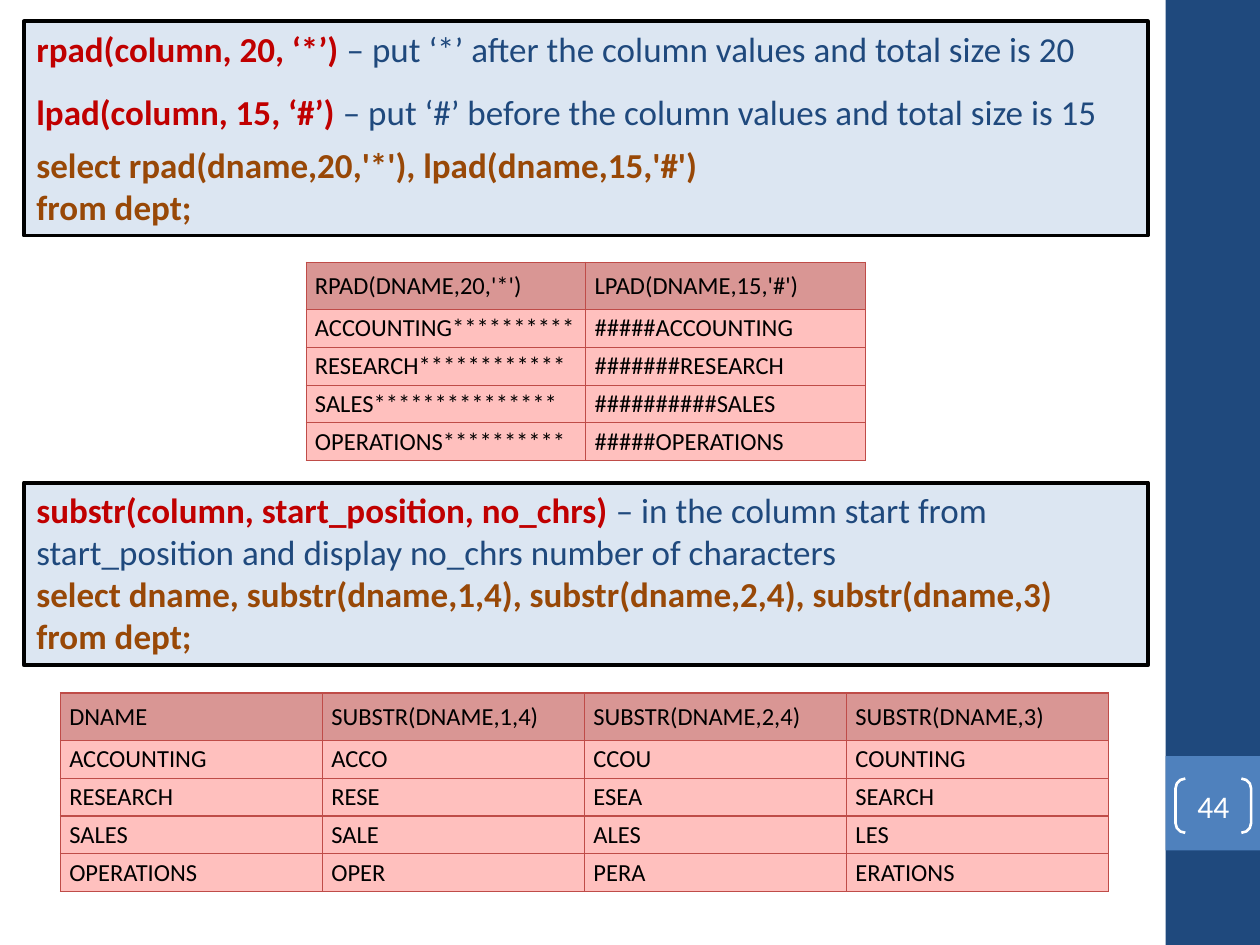
from lxml import etree
from pptx import Presentation
from pptx.dml.color import RGBColor
from pptx.enum.shapes import MSO_SHAPE
from pptx.enum.text import MSO_ANCHOR, PP_ALIGN
from pptx.oxml.ns import qn
from pptx.util import Inches, Pt

RECTANGLE, BRACKETS = MSO_SHAPE.RECTANGLE, MSO_SHAPE.DOUBLE_BRACKET
TOP, MIDDLE, BOTTOM = MSO_ANCHOR.TOP, MSO_ANCHOR.MIDDLE, MSO_ANCHOR.BOTTOM
LEFT, CENTER = PP_ALIGN.LEFT, PP_ALIGN.CENTER

FONT = "Calibri"
NAVY, BLUE, PALE_BLUE = "1F497D", "4F81BD", "DCE6F2"
WHITE, BLACK, RED, BROWN = "FFFFFF", "000000", "C00000", "984807"
HEADER_FILL, BODY_FILL, GRID = "D99694", "FFC0BE", "BF4C48"

# Content: each paragraph is (space around, [(text, colour, bold), ...])
PAD_NOTES = [
    (6, [("rpad(column, 20, ‘*’) ", RED, True),
         ("– put ‘*’ after the column values and total size is 20", NAVY, False)]),
    (6, [("lpad(column, 15, ‘#’) ", RED, True),
         ("– put ‘#’ before the column values and total size is 15", NAVY, False)]),
    (0, [("select rpad(dname,20,'*'), lpad(dname,15,'#')", BROWN, True)]),
    (0, [("from dept;", BROWN, True)]),
]
SUBSTR_NOTES = [
    (0, [("substr(column, start_position, no_chrs) ", RED, True),
         ("– in the column start from start_position and display no_chrs "
          "number of characters", NAVY, False)]),
    (0, [("select dname, substr(dname,1,4), substr(dname,2,4), substr(dname,3)",
          BROWN, True)]),
    (0, [("from dept;", BROWN, True)]),
]
PAD_ROWS = [
    ("RPAD(DNAME,20,'*')", "LPAD(DNAME,15,'#')"),
    ("ACCOUNTING**********", "#####ACCOUNTING"),
    ("RESEARCH************", "#######RESEARCH"),
    ("SALES***************", "##########SALES"),
    ("OPERATIONS**********", "#####OPERATIONS"),
]
SUBSTR_ROWS = [
    ("DNAME", "SUBSTR(DNAME,1,4)", "SUBSTR(DNAME,2,4)", "SUBSTR(DNAME,3)"),
    ("ACCOUNTING", "ACCO", "CCOU", "COUNTING"),
    ("RESEARCH", "RESE", "ESEA", "SEARCH"),
    ("SALES", "SALE", "ALES", "LES"),
    ("OPERATIONS", "OPER", "PERA", "ERATIONS"),
]
HEADER_HEIGHT, ROW_HEIGHT = 0.37, 0.3


def color(value):
    return RGBColor.from_string(value)


def add_run(paragraph, text, size, text_color, bold=False):
    run = paragraph.add_run()
    run.text = text
    for name, value in {"name": FONT, "size": Pt(size), "bold": bold}.items():
        setattr(run.font, name, value)
    run.font.color.rgb = color(text_color)


def add_shape(slide, kind, box, fill=None, line=None, width=1):
    shape = slide.shapes.add_shape(kind, *map(Inches, box))
    shape.shadow.inherit = False
    if fill:
        shape.fill.solid()
        shape.fill.fore_color.rgb = color(fill)
    else:
        shape.fill.background()
    if line:
        shape.line.color.rgb = color(line)
        shape.line.width = Pt(width)
    else:
        shape.line.fill.background()
    return shape


def add_notes(slide, box, paragraphs):
    shape = add_shape(slide, RECTANGLE, box, PALE_BLUE, BLACK, 2.25)
    frame = shape.text_frame
    frame.word_wrap = True
    frame.vertical_anchor = TOP
    for index, (space, runs) in enumerate(paragraphs):
        paragraph = frame.add_paragraph() if index else frame.paragraphs[0]
        paragraph.alignment = LEFT
        paragraph.space_before = paragraph.space_after = Pt(space)
        for text, text_color, bold in runs:
            add_run(paragraph, text, 20, text_color, bold)


def add_borders(cell):
    properties = cell._tc.get_or_add_tcPr()
    for side in ("a:lnL", "a:lnR", "a:lnT", "a:lnB"):
        border = etree.SubElement(properties, qn(side), w=str(Pt(0.75)))
        fill = etree.SubElement(border, qn("a:solidFill"))
        etree.SubElement(fill, qn("a:srgbClr"), val=GRID)


def add_result_table(slide, left, top, column_width, rows):
    columns = len(rows[0])
    height = HEADER_HEIGHT + ROW_HEIGHT * (len(rows) - 1)
    box = (left, top, column_width * columns, height)
    table = slide.shapes.add_table(len(rows), columns, *map(Inches, box)).table
    for column in table.columns:
        column.width = Inches(column_width)
    for row_index, values in enumerate(rows):
        header = row_index == 0
        table.rows[row_index].height = Inches(HEADER_HEIGHT if header else ROW_HEIGHT)
        margin = Inches(0.07 if header else 0.03)
        cell_format = {
            "margin_left": Inches(0.07), "margin_right": Inches(0.07),
            "margin_top": margin, "margin_bottom": margin,
            "vertical_anchor": BOTTOM if header else MIDDLE,
        }
        for column_index, text in enumerate(values):
            cell = table.cell(row_index, column_index)
            for name, value in cell_format.items():
                setattr(cell, name, value)
            add_borders(cell)
            cell.fill.solid()
            cell.fill.fore_color.rgb = color(HEADER_FILL if header else BODY_FILL)
            add_run(cell.text_frame.paragraphs[0], text, 14, BLACK)


def add_page_number(slide, number):
    brackets = add_shape(slide, BRACKETS, (9.33, 6.18, 0.6, 0.43), None, WHITE, 1.5)
    brackets.adjustments[0] = 0.18
    frame = brackets.text_frame
    for side in ("left", "right", "top", "bottom"):
        setattr(frame, "margin_" + side, 0)
    frame.vertical_anchor = MIDDLE
    frame.paragraphs[0].alignment = CENTER
    add_run(frame.paragraphs[0], number, 18, WHITE)


def main():
    presentation = Presentation()
    presentation.slide_width = Inches(10)
    presentation.slide_height = Inches(7.5)
    slide = presentation.slides.add_slide(presentation.slide_layouts[6])

    # Side band with page number
    add_shape(slide, RECTANGLE, (9.25, 0, 0.75, 7.5), NAVY)
    add_shape(slide, RECTANGLE, (9.25, 6, 0.75, 0.75), BLUE)
    add_page_number(slide, "44")

    # Padding functions and their result
    add_notes(slide, (0.19, 0.17, 8.92, 1.7), PAD_NOTES)
    add_result_table(slide, 2.43, 2.08, 2.22, PAD_ROWS)

    # Substring function and its result
    add_notes(slide, (0.19, 3.83, 8.92, 1.45), SUBSTR_NOTES)
    add_result_table(slide, 0.48, 5.5, 2.08, SUBSTR_ROWS)

    presentation.save("out.pptx")


if __name__ == "__main__":
    main()
